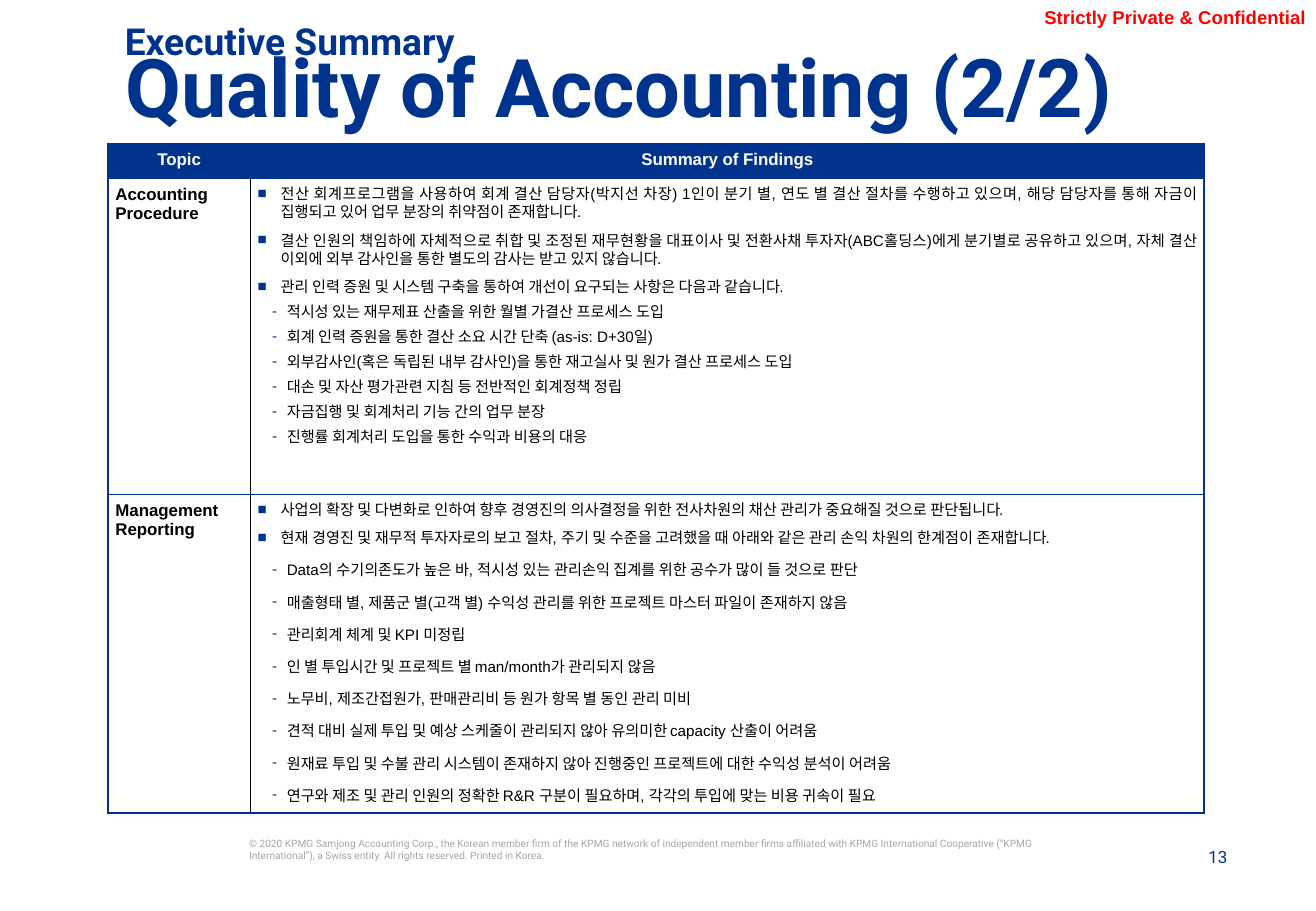
from lxml import etree
from pptx import Presentation
from pptx.dml.color import RGBColor
from pptx.enum.text import MSO_ANCHOR, MSO_AUTO_SIZE, PP_ALIGN
from pptx.oxml.ns import qn
from pptx.util import Inches, Pt

LEFT, CENTER, RIGHT, JUSTIFY = PP_ALIGN.LEFT, PP_ALIGN.CENTER, PP_ALIGN.RIGHT, PP_ALIGN.JUSTIFY
TOP, BOTTOM = MSO_ANCHOR.TOP, MSO_ANCHOR.BOTTOM
NO_FIT = MSO_AUTO_SIZE.NONE
COLORS = {"navy": "00338D", "white": "FFFFFF", "black": "000000", "red": "FF0000", "gray": "A6A6A6"}
BULLETS = {"■": (0.19, 0.19), "-": (0.24, 0.12)}
COLUMNS = [1.17, 7.85]
ROWS = [0.29, 2.6, 2.6]
INSET = 0.06

HEADERS = ["Topic", "Summary of Findings"]
TOPICS = [
    ("Accounting Procedure", 10.8, 4, [
        "전산 회계프로그램을 사용하여 회계 결산 담당자(박지선 차장) 1인이 분기 별, 연도 별 결산 절차를 수행하고 있으며, 해당 담당자를 통해 자금이 집행되고 있어 업무 분장의 취약점이 존재합니다.",
        "결산 인원의 책임하에 자체적으로 취합 및 조정된 재무현황을 대표이사 및 전환사채 투자자(ABC홀딩스)에게 분기별로 공유하고 있으며, 자체 결산 이외에 외부 감사인을 통한 별도의 감사는 받고 있지 않습니다.",
        "관리 인력 증원 및 시스템 구축을 통하여 개선이 요구되는 사항은 다음과 같습니다.",
    ], [
        "적시성 있는 재무제표 산출을 위한 월별 가결산 프로세스 도입",
        "회계 인력 증원을 통한 결산 소요 시간 단축 (as-is: D+30일)",
        "외부감사인(혹은 독립된 내부 감사인)을 통한 재고실사 및 원가 결산 프로세스 도입",
        "대손 및 자산 평가관련 지침 등 전반적인 회계정책 정립",
        "자금집행 및 회계처리 기능 간의 업무 분장",
        "진행률 회계처리 도입을 통한 수익과 비용의 대응",
    ]),
    ("Management Reporting", None, 6, [
        "사업의 확장 및 다변화로 인하여 향후 경영진의 의사결정을 위한 전사차원의 채산 관리가 중요해질 것으로 판단됩니다.",
        "현재 경영진 및 재무적 투자자로의 보고 절차, 주기 및 수준을 고려했을 때 아래와 같은 관리 손익 차원의 한계점이 존재합니다.",
    ], [
        "Data의 수기의존도가 높은 바, 적시성 있는 관리손익 집계를 위한 공수가 많이 들 것으로 판단",
        "매출형태 별, 제품군 별(고객 별) 수익성 관리를 위한 프로젝트 마스터 파일이 존재하지 않음",
        "관리회계 체계 및 KPI 미정립",
        "인 별 투입시간 및 프로젝트 별 man/month가 관리되지 않음",
        "노무비, 제조간접원가, 판매관리비 등 원가 항목 별 동인 관리 미비",
        "견적 대비 실제 투입 및 예상 스케줄이 관리되지 않아 유의미한 capacity 산출이 어려움",
        "원재료 투입 및 수불 관리 시스템이 존재하지 않아 진행중인 프로젝트에 대한 수익성 분석이 어려움",
        "연구와 제조 및 관리 인원의 정확한 R&R 구분이 필요하며, 각각의 투입에 맞는 비용 귀속이 필요",
    ]),
]


def write(frame, text, size=10, color="black", bold=False, font="Arial", align=LEFT,
          spacing=None, before=0, bullet=None):
    para = frame.paragraphs[0]
    if para.runs:
        para = frame.add_paragraph()
    if bullet:
        margin, hanging = BULLETS[bullet]
        properties = para._p.get_or_add_pPr()
        properties.set("marL", str(Inches(margin)))
        properties.set("indent", str(-Inches(hanging)))
        bullet_color = etree.SubElement(properties, qn("a:buClr"))
        etree.SubElement(bullet_color, qn("a:srgbClr"), val=COLORS["navy"])
        etree.SubElement(properties, qn("a:buFont"), typeface="Arial")
        etree.SubElement(properties, qn("a:buChar"), char=bullet)
    para.alignment = align
    para.space_before = Pt(before)
    if spacing:
        para.line_spacing = spacing
    span = para.add_run()
    span.text = text
    span.font.name = font
    span.font.size = Pt(size)
    span.font.bold = bold
    span.font.color.rgb = RGBColor.from_string(COLORS[color])


def place(box, left, top, width, height, anchor=TOP, insets=(0.1, 0.05, 0.1, 0.05)):
    box.left, box.top, box.width, box.height = map(Inches, (left, top, width, height))
    frame = box.text_frame
    frame.word_wrap = True
    frame.auto_size = NO_FIT
    frame.vertical_anchor = anchor
    frame.margin_left, frame.margin_top, frame.margin_right, frame.margin_bottom = map(Inches, insets)
    return frame


deck = Presentation()
deck.slide_width, deck.slide_height = Inches(10.83), Inches(7.5)
page = deck.slides.add_slide(deck.slide_layouts[5])

FLUSH = (0, 0, 0, 0)
TEXTS = [
    ((8.68, 6.98, 1.42, 0.16, BOTTOM, FLUSH), "13",
     dict(font="Roboto", color="navy", align=RIGHT)),
    ((2.05, 6.89, 6.89, 0.42, TOP, FLUSH),
     "© 2020 KPMG Samjong Accounting Corp., the Korean member firm of the KPMG network of independent member firms affiliated with KPMG International Cooperative (“KPMG International”), a Swiss entity. All rights reserved. Printed in Korea.",
     dict(font="Roboto", size=6, color="gray")),
    ((8.08, -0.01, 2.71, 0.28, BOTTOM, (0, 0.04, 0.04, 0.04)), "Strictly Private & Confidential",
     dict(size=11, color="red", bold=True, align=RIGHT)),
    ((0.93, 0.2, 9.4, 0.3), "Executive Summary",
     dict(font="Roboto", size=22, color="navy", bold=True, spacing=0.7)),
]
for position, text, style in TEXTS:
    box = page.shapes.add_textbox(0, 0, 0, 0)
    write(place(box, *position), text, **style)

title = place(page.shapes.title, 0.93, 0.47, 9.4, 0.79)
write(title, "Quality of Accounting (2/2)", font="Roboto", size=48, color="navy", bold=True, spacing=0.7)

table = page.shapes.add_table(len(ROWS), len(COLUMNS), Inches(0.89), Inches(1.18),
                              Inches(sum(COLUMNS)), Inches(sum(ROWS))).table
table.horz_banding = False
for column, width in zip(table.columns, COLUMNS):
    column.width = Inches(width)
for row, height in zip(table.rows, ROWS):
    row.height = Inches(height)

for row_index in range(len(ROWS)):
    for column_index in range(len(COLUMNS)):
        cell = table.cell(row_index, column_index)
        cell.margin_left = cell.margin_right = Inches(INSET)
        cell.margin_top = cell.margin_bottom = Inches(INSET)
        inner = "lnR" if column_index == 0 else "lnL"
        for side in ("lnL", "lnR", "lnT", "lnB"):
            divider = side == inner and row_index > 0
            border = etree.SubElement(cell._tc.get_or_add_tcPr(), qn("a:" + side),
                                      w=str(Pt(0.5 if divider else 1)))
            border_fill = etree.SubElement(border, qn("a:solidFill"))
            etree.SubElement(border_fill, qn("a:srgbClr"), val=COLORS["black" if divider else "navy"])
        if row_index == 0:
            cell.fill.solid()
            cell.fill.fore_color.rgb = RGBColor.from_string(COLORS["navy"])
        else:
            cell.fill.background()

for column_index, header in enumerate(HEADERS):
    write(table.cell(0, column_index).text_frame, header, color="white", bold=True, align=CENTER)

for row_index, (topic, detail_spacing, detail_gap, findings, details) in enumerate(TOPICS, 1):
    write(table.cell(row_index, 0).text_frame, topic, bold=True)
    frame = table.cell(row_index, 1).text_frame
    for index, finding in enumerate(findings):
        write(frame, finding, size=9, align=JUSTIFY, spacing=Pt(10.8),
              before=6 if index else 0, bullet="■")
    for detail in details:
        write(frame, detail, size=9, align=JUSTIFY, before=detail_gap, bullet="-",
              spacing=Pt(detail_spacing) if detail_spacing else None)

deck.save("out.pptx")
